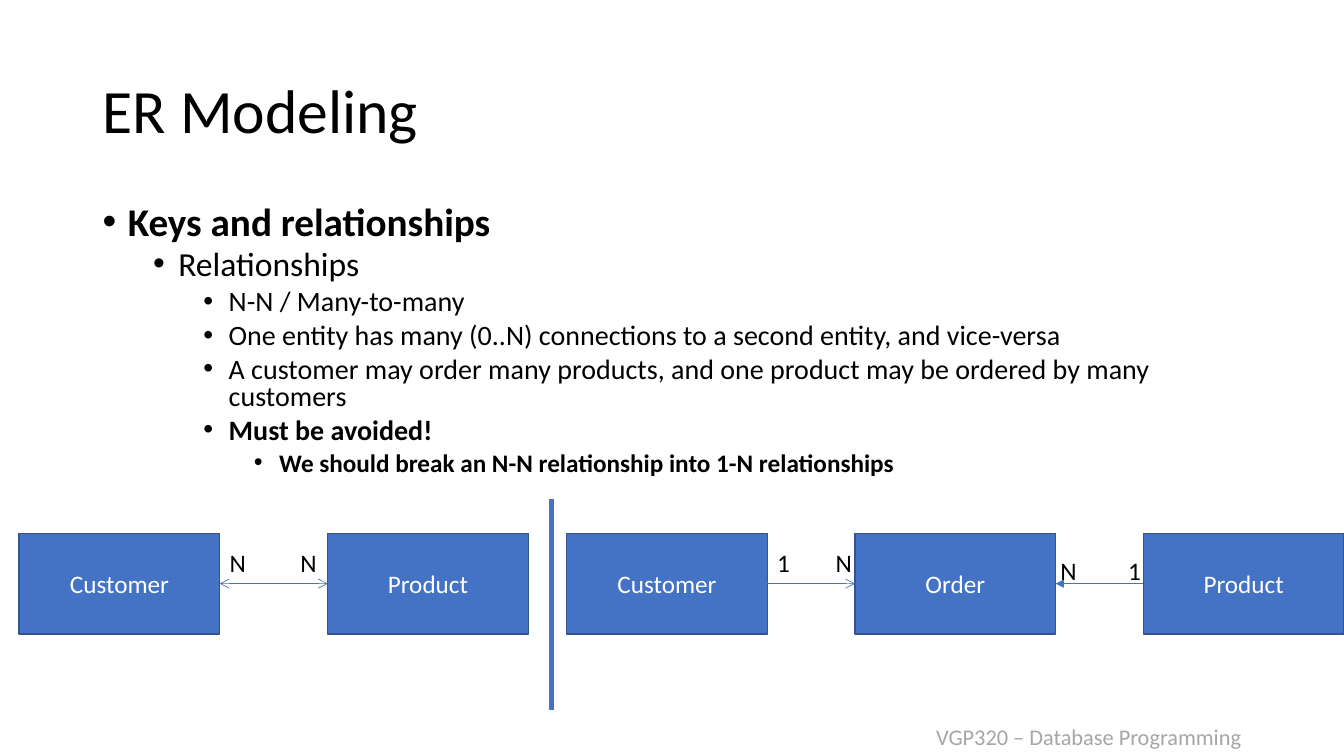
import pptx
import pptx.util
import pptx.dml.color
import pptx.enum.shapes
import pptx.enum.text
import pptx.oxml.xmlchemy

Inches, Pt = pptx.util.Inches, pptx.util.Pt
RGBColor = pptx.dml.color.RGBColor
PP_ALIGN, MSO_ANCHOR = pptx.enum.text.PP_ALIGN, pptx.enum.text.MSO_ANCHOR

BLACK = RGBColor(0x00, 0x00, 0x00)
WHITE = RGBColor(0xFF, 0xFF, 0xFF)
GRAY = RGBColor(0xA6, 0xA6, 0xA6)
BLUE = RGBColor(0x44, 0x72, 0xC4)
DARK_BLUE = RGBColor(0x32, 0x54, 0x91)

SLIDE_W, SLIDE_H = 13.33, 7.5
FONT = "Calibri"
MARGIN, CONTENT_W = 0.92, 11.5
ENTITY_W, ENTITY_H = 1.99, 1.0
LABEL_W, LABEL_H = 0.36, 0.4

# Level, text, size, bold
BULLETS = [
    (0, "Keys and relationships", 28, True),
    (1, "Relationships", 24, False),
    (2, "N-N / Many-to-many", 20, False),
    (2, "One entity has many (0..N) connections to a second entity, and vice-versa", 20, False),
    (2, "A customer may order many products, and one product may be ordered by many customers",
     20, False),
    (2, "Must be avoided!", 20, True),
    (3, "We should break an N-N relationship into 1-N relationships", 18, True),
]


def add_element(parent, tag, **attributes):
    element = pptx.oxml.xmlchemy.OxmlElement(tag)
    for name, value in attributes.items():
        element.set(name, value)
    parent.append(element)


def write(p, text, size=18, color=BLACK, bold=False, align=PP_ALIGN.LEFT, spacing=None):
    p.alignment = align
    if spacing:
        p.line_spacing = spacing
    r = p.add_run()
    r.text = text
    r.font.name, r.font.size, r.font.bold = FONT, Pt(size), bold
    r.font.color.rgb = color


def add_text(slide, x, y, w, h, wrap=True):
    tf = slide.shapes.add_textbox(Inches(x), Inches(y), Inches(w), Inches(h)).text_frame
    tf.word_wrap = wrap
    return tf


def add_line(slide, start, end, width=0.5, head=None, tail=None):
    points = [Inches(v) for v in (*start, *end)]
    sp = slide.shapes.add_connector(pptx.enum.shapes.MSO_CONNECTOR.STRAIGHT, *points)
    sp.line.color.rgb = BLUE
    sp.line.width = Pt(width)
    spPr = sp._element.spPr
    for tag, kind in (("a:headEnd", head), ("a:tailEnd", tail)):
        if kind:
            add_element(spPr.ln, tag, type=kind)
    add_element(spPr, "a:effectLst")


def add_title(slide, x, y, w, h):
    sp = slide.shapes.title
    sp.left, sp.top, sp.width, sp.height = (Inches(v) for v in (x, y, w, h))
    tf = sp.text_frame
    tf.vertical_anchor = MSO_ANCHOR.MIDDLE
    write(tf.paragraphs[0], "ER Modeling", size=44, spacing=0.9)


def add_bullets(slide, x, y, w, h):
    tf = add_text(slide, x, y, w, h)
    for i, (level, text, size, bold) in enumerate(BULLETS):
        p = tf.add_paragraph() if i else tf.paragraphs[0]
        write(p, text, size=size, bold=bold, spacing=0.8)
        p.level = level
        p.space_before = Pt(5 if level else 10)
        pPr = p._p.get_or_add_pPr()
        pPr.set("marL", str(Inches(0.25 + 0.5 * level)))
        pPr.set("indent", str(Inches(-0.25)))
        add_element(pPr, "a:buFont", typeface="Arial")
        add_element(pPr, "a:buChar", char="•")


def add_entity(slide, x, y, name):
    sp = slide.shapes.add_shape(pptx.enum.shapes.MSO_SHAPE.RECTANGLE, Inches(x), Inches(y),
                                Inches(ENTITY_W), Inches(ENTITY_H))
    sp.shadow.inherit = False
    sp.fill.solid()
    sp.fill.fore_color.rgb = BLUE
    sp.line.color.rgb = DARK_BLUE
    sp.line.width = Pt(1)
    sp.text_frame.vertical_anchor = MSO_ANCHOR.MIDDLE
    write(sp.text_frame.paragraphs[0], name, color=WHITE, align=PP_ALIGN.CENTER)


def add_chain(slide, x, y, pitch, names, links):
    """Entities in a row; each link is (label, offset) per end, label drop, arrowheads."""
    for i, name in enumerate(names):
        add_entity(slide, x + i * pitch, y, name)
    for i, (near, far, drop, heads) in enumerate(links):
        left = x + i * pitch + ENTITY_W
        right = x + (i + 1) * pitch
        middle = y + ENTITY_H / 2
        ends = [(left, middle), (right, middle)]
        if heads.get("reverse"):
            ends.reverse()
        add_line(slide, *ends, head=heads.get("head"), tail=heads["tail"])
        for edge, (text, offset) in ((left, near), (right, far)):
            tf = add_text(slide, edge + offset, y + drop, LABEL_W, LABEL_H, wrap=False)
            write(tf.paragraphs[0], text)


def add_footer(slide, x, y, w, h):
    tf = add_text(slide, x, y, w, h)
    write(tf.paragraphs[0], "VGP320 – Database Programming", size=16, color=GRAY,
          align=PP_ALIGN.RIGHT)


def main():
    prs = pptx.Presentation()
    prs.slide_width, prs.slide_height = Inches(SLIDE_W), Inches(SLIDE_H)
    slide = prs.slides.add_slide(prs.slide_layouts.get_by_name("Title Only"))

    add_footer(slide, 8.49, 7.13, 3.92, 0.37)
    add_title(slide, MARGIN, 0.4, CONTENT_W, 1.45)
    add_bullets(slide, MARGIN, 2, CONTENT_W, 2.83)

    # Many-to-many on the left, its split into 1-N on the right
    add_chain(slide, 0.19, 5.29, 3.06, ["Customer", "Product"], [
        (("N", 0), ("N", -0.37), 0.09, {"head": "arrow", "tail": "arrow"}),
    ])
    add_line(slide, (5.47, 4.95), (5.47, 7.04), width=3)
    add_chain(slide, 5.62, 5.29, 2.86, ["Customer", "Order", "Product"], [
        (("1", 0), ("N", -0.29), 0.09, {"tail": "arrow"}),
        (("N", -0.05), ("1", -0.25), 0.17, {"tail": "triangle", "reverse": True}),
    ])

    prs.save("out.pptx")


if __name__ == "__main__":
    main()
